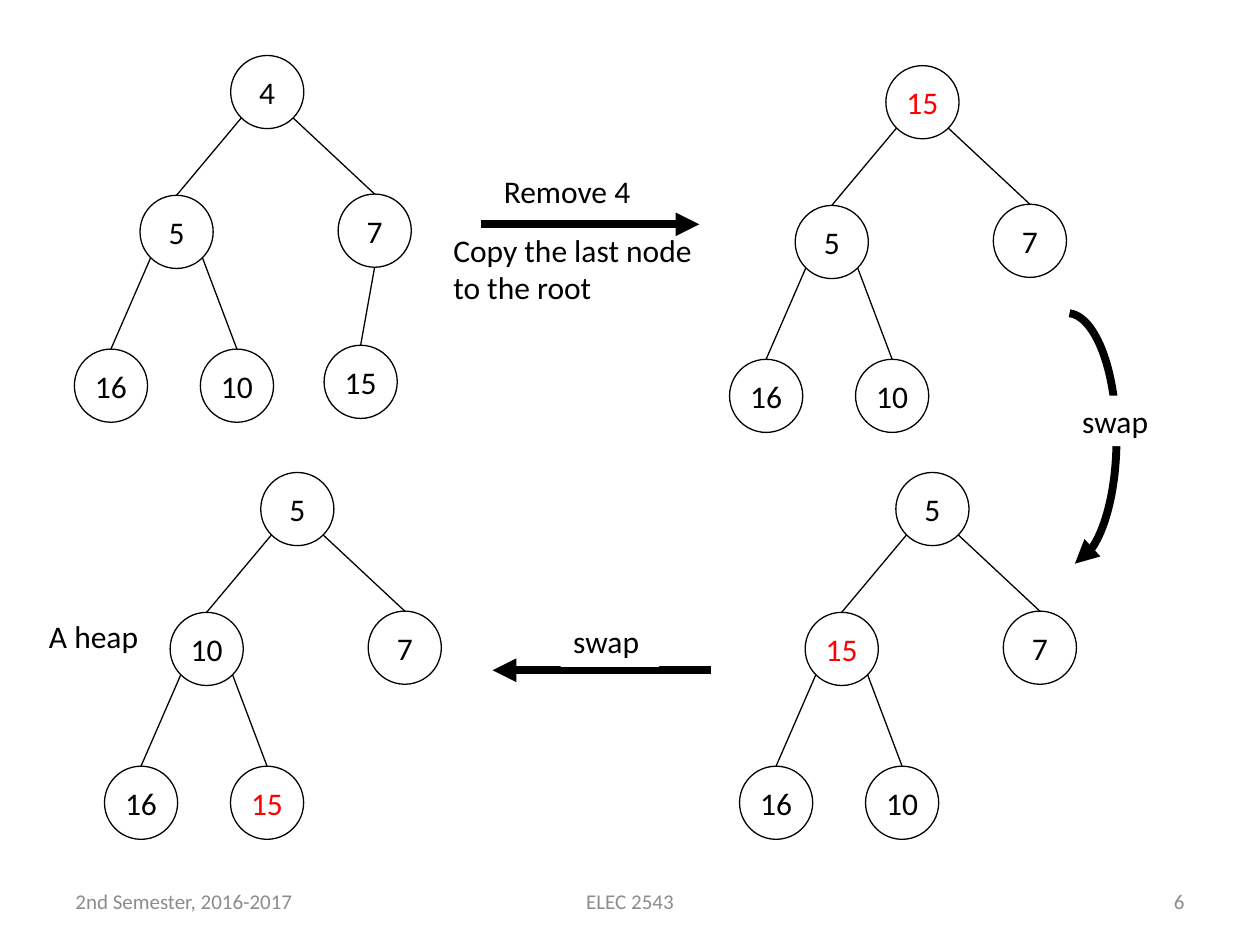
"""Build a slide that shows how the minimum is removed from a heap."""
from lxml.etree import SubElement
from pptx import Presentation
from pptx.dml.color import RGBColor
from pptx.enum.shapes import MSO_CONNECTOR, MSO_SHAPE
from pptx.enum.text import MSO_ANCHOR, PP_ALIGN
from pptx.oxml.ns import qn
from pptx.util import Pt

BLACK = RGBColor(0x00, 0x00, 0x00)
WHITE = RGBColor(0xFF, 0xFF, 0xFF)
RED = RGBColor(0xFF, 0x00, 0x00)
GRAY = RGBColor(0x8C, 0x8C, 0x8C)

FONT = "Calibri"
NODE = 41.8
NEAR, FAR = 0.146 * NODE, 0.854 * NODE
THIN, THICK = 0.75, 4.5

OFFSETS = [(0, 0), (-51.8, 79.9), (61.4, 79.2),
           (-89.3, 167.8), (-17.3, 167.8), (53.4, 165.6)]
EDGES = [(0, 1, NEAR, FAR), (0, 2, FAR, FAR), (1, 3, NEAR, FAR),
         (1, 4, FAR, FAR), (2, 5, NODE / 2, NODE)]

TREES = [
    (131.8, 31.7, [4, 5, 7, 16, 10, 15], None),
    (506.2, 37.5, [15, 5, 7, 16, 10], 15),
    (511.9, 270, [5, 15, 7, 16, 10], 15),
    (149, 270, [5, 10, 7, 16, 15], 15),
]


def write(frame, lines, size=18, color=BLACK, align=PP_ALIGN.LEFT):
    """Write each line as a paragraph of one run."""
    for number, line in enumerate(lines):
        paragraph = frame.add_paragraph() if number else frame.paragraphs[0]
        paragraph.alignment = align
        run = paragraph.add_run()
        run.text = line
        run.font.name = FONT
        run.font.size = Pt(size)
        run.font.color.rgb = color


def add_label(shapes, left, top, width, height, *lines, fill=None):
    """Add a label that does not wrap."""
    label = shapes.add_textbox(Pt(left), Pt(top), Pt(width), Pt(height))
    label.text_frame.word_wrap = False
    if fill is not None:
        label.fill.solid()
        label.fill.fore_color.rgb = fill
    write(label.text_frame, lines)


def add_footer(shapes, left, width, text, align):
    """Add one part of the footer."""
    footer = shapes.add_textbox(Pt(left), Pt(500.5), Pt(width), Pt(28.75))
    footer.text_frame.word_wrap = True
    footer.text_frame.vertical_anchor = MSO_ANCHOR.MIDDLE
    write(footer.text_frame, [text], 12, GRAY, align)


def style_line(line, width):
    """Make a line black with the given width."""
    line.color.rgb = BLACK
    line.width = Pt(width)


def add_arrowhead(shape):
    """Put a triangle at the end of a line."""
    outline = shape.line._get_or_add_ln()
    SubElement(outline, qn("a:tailEnd"), type="triangle")


def add_line(shapes, x1, y1, x2, y2, width=THIN):
    """Add a straight line without a shadow."""
    line = shapes.add_connector(MSO_CONNECTOR.STRAIGHT,
                                Pt(x1), Pt(y1), Pt(x2), Pt(y2))
    style_line(line.line, width)
    SubElement(line._element.spPr, qn("a:effectLst"))
    return line


def add_node(shapes, left, top, value, color):
    """Add a round node with its value."""
    node = shapes.add_shape(MSO_SHAPE.OVAL, Pt(left), Pt(top), Pt(NODE), Pt(NODE))
    node.shadow.inherit = False
    node.fill.background()
    style_line(node.line, THIN)
    frame = node.text_frame
    frame.word_wrap = False
    frame.vertical_anchor = MSO_ANCHOR.MIDDLE
    frame.margin_left = frame.margin_right = Pt(0)
    frame.margin_top = frame.margin_bottom = Pt(0)
    write(frame, [str(value)], color=color, align=PP_ALIGN.CENTER)


def add_tree(slide, left, top, values, moved):
    """Add a grouped tree, its moved value in red."""
    tree = slide.shapes.add_group_shape().shapes
    places = [(left + dx, top + dy) for dx, dy in OFFSETS[:len(values)]]
    for (x, y), value in zip(places, values):
        add_node(tree, x, y, value, RED if value == moved else BLACK)
    for parent, child, dx, dy in EDGES[:len(values) - 1]:
        (x1, y1), (x2, y2) = places[parent], places[child]
        add_line(tree, x1 + dx, y1 + dy, x2 + NODE / 2, y2)


def add_curved_arrow(shapes, left, top, width, height, start, end):
    """Add an arc with an arrowhead, its angles in degrees."""
    arc = shapes.add_shape(MSO_SHAPE.ARC, Pt(left), Pt(top), Pt(width), Pt(height))
    arc.adjustments[0] = start * 0.6
    arc.adjustments[1] = end * 0.6
    arc.shadow.inherit = False
    arc.fill.background()
    style_line(arc.line, THICK)
    add_arrowhead(arc)


def main():
    """Build and save the slide."""
    deck = Presentation()
    deck.slide_width, deck.slide_height = Pt(720), Pt(540)
    slide = deck.slides.add_slide(deck.slide_layouts[6])
    shapes = slide.shapes

    for tree in TREES:
        add_tree(slide, *tree)

    add_arrowhead(add_line(shapes, 275, 128.2, 399.6, 128.2, THICK))
    add_label(shapes, 280.8, 94.5, 96.5, 29, "Remove 4")
    add_label(shapes, 252, 128.2, 164, 50.5, "Copy the last node", "to the root")

    add_curved_arrow(shapes, 581.8, 179, 56.2, 144, 271, 86.5)
    add_label(shapes, 611.3, 226, 56.2, 29, "swap", fill=WHITE)

    add_arrowhead(add_line(shapes, 406.1, 383, 281.5, 383, THICK))
    add_label(shapes, 320.4, 352.1, 56.2, 29, "swap", fill=WHITE)
    add_label(shapes, 20.9, 349.2, 71.3, 29, "A heap", fill=WHITE)

    add_footer(shapes, 36, 168, "2nd Semester, 2016-2017", PP_ALIGN.LEFT)
    add_footer(shapes, 246, 228, "ELEC 2543", PP_ALIGN.CENTER)
    add_footer(shapes, 516, 168, "6", PP_ALIGN.RIGHT)
    deck.save("out.pptx")


main()
